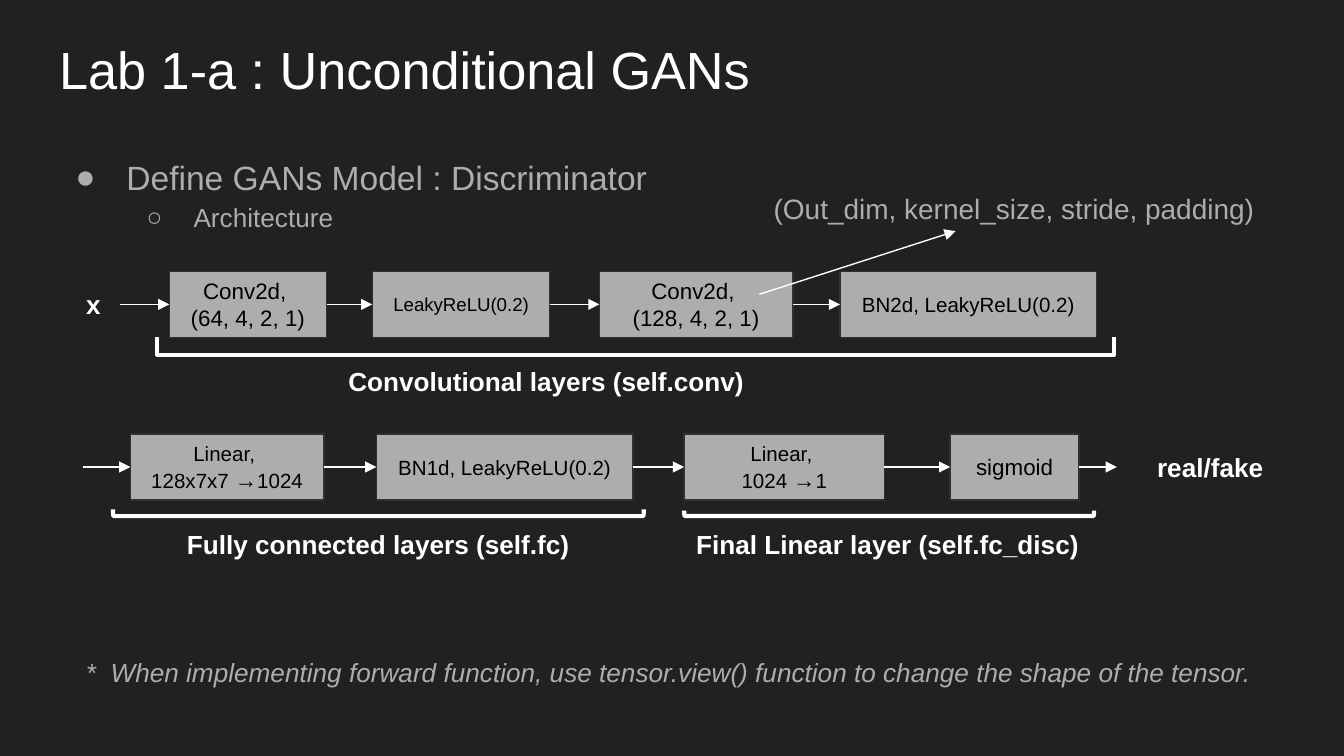
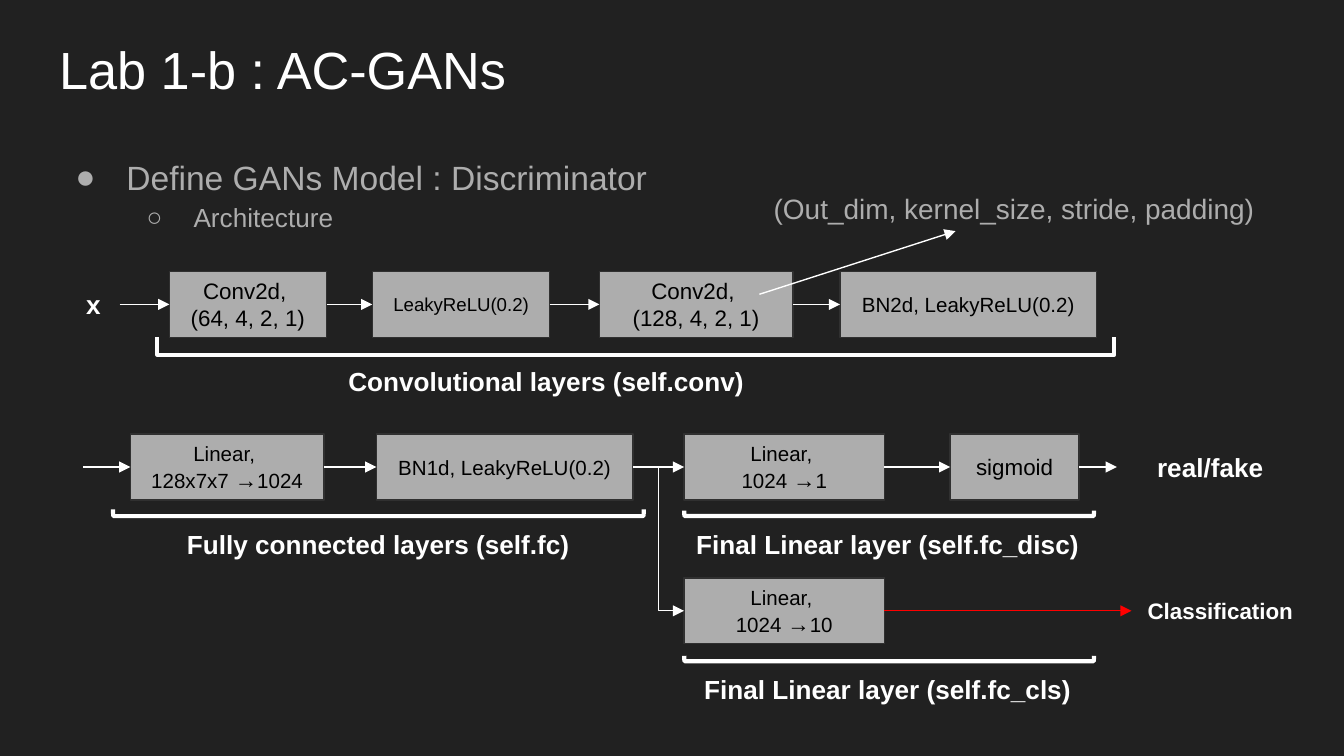
"""Build two slides showing the discriminator architectures of GAN and AC-GAN."""
import pptx
import pptx.util
import pptx.dml.color
import pptx.enum.shapes
import pptx.enum.text
import pptx.oxml
import pptx.oxml.ns

Inches, Pt = pptx.util.Inches, pptx.util.Pt
ALIGN, ANCHOR = pptx.enum.text.PP_ALIGN, pptx.enum.text.MSO_ANCHOR
SHAPE, LINK = pptx.enum.shapes.MSO_SHAPE, pptx.enum.shapes.MSO_CONNECTOR

FONT = "Arial"
BACK, WHITE, GRAY, EDGE, BLACK, RED = "212121", "FFFFFF", "ADADAD", "303030", "000000", "FF0000"
SLIDE_W = 10
SLIDE_H = SLIDE_W * 9 / 16
BOX_H = 0.49
CONV_Y, FC_Y, CLS_Y = 2.02, 3.23, 4.3

OUTLINE = [("Define GANs Model : Discriminator", 18, "●", 0.5, -0.38),
           ("Architecture", 14, "○", 1, -0.35)]
CALLOUT = "(Out_dim, kernel_size, stride, padding)"
NOTE = ("*  When implementing forward function, use tensor.view() function "
        "to change the shape of the tensor.")

# rows: top, start of first arrow, end of last arrow, last arrow colour, boxes
CONV_ROW = (CONV_Y, 0.89, None, WHITE, [
    (1.26, 1.17, 12, "Conv2d, \n(64, 4, 2, 1)"),
    (2.77, 1.32, 10, "LeakyReLU(0.2)"),
    (4.46, 1.44, 12, "Conv2d, \n(128, 4, 2, 1)"),
    (6.25, 1.91, 11, "BN2d, LeakyReLU(0.2)")])
FC_ROW = (FC_Y, 0.62, 8.31, WHITE, [
    (0.97, 1.44, 11, "Linear, \n128x7x7 →1024"),
    (2.8, 1.91, 11, "BN1d, LeakyReLU(0.2)"),
    (5.09, 1.49, 11, "Linear, \n1024 →1"),
    (7.07, 0.96, 12, "sigmoid")])
CLS_ROW = (CLS_Y, None, 8.42, RED, [(5.09, 1.49, 11, "Linear, \n1024 →10")])

LABELS = [(0.41, CONV_Y, 0.57, 14, "x"),
          (8.42, FC_Y, 1.17, 14, "real/fake"),
          (2.17, 2.59, 3.79, 14, "Convolutional layers (self.conv)"),
          (1.17, 3.8, 3.29, 14, "Fully connected layers (self.fc)"),
          (4.71, 3.8, 3.79, 14, "Final Linear layer (self.fc_disc)")]
CLS_LABELS = [(8.42, CLS_Y, 1.32, 12, "Classification"),
              (4.71, 4.88, 3.79, 14, "Final Linear layer (self.fc_cls)")]

BRACKETS = [(1.17, 2.51, 7.12, 0.13, 0), (0.84, 3.79, 3.95, 0.05, 0.083),
            (5.09, 3.8, 3.05, 0.04, 0.083)]
CLS_BRACKETS = [(5.09, 4.88, 3.05, 0.04, 0.083)]

SLIDES = [
    dict(title="Lab 1-a : Unconditional GANs", rows=[CONV_ROW, FC_ROW],
         labels=LABELS, brackets=BRACKETS, note=NOTE, branch=None),
    dict(title="Lab 1-b : AC-GANs", rows=[CONV_ROW, FC_ROW, CLS_ROW],
         labels=LABELS + CLS_LABELS, brackets=BRACKETS + CLS_BRACKETS, note=None,
         branch=(4.71, FC_Y + BOX_H / 2, 5.09, CLS_Y + BOX_H / 2)),
]


def rgb(color):
    return pptx.dml.color.RGBColor.from_string(color)


def place(sp, x, y, w, h):
    sp.left, sp.top, sp.width, sp.height = (Inches(v) for v in (x, y, w, h))


def style(r, size, color, bold=False, italic=False):
    f = r.font
    f.name, f.size, f.bold, f.italic = FONT, Pt(size), bold, italic
    f.color.rgb = rgb(color)


def write(sp, text, size, color, align=ALIGN.CENTER, anchor=ANCHOR.MIDDLE, **look):
    tf = sp.text_frame
    tf.word_wrap, tf.vertical_anchor = True, anchor
    tf.auto_size = pptx.enum.text.MSO_AUTO_SIZE.NONE
    tf.margin_left = tf.margin_right = tf.margin_top = tf.margin_bottom = Inches(0.1)
    tf.text = text
    for p in tf.paragraphs:
        p.alignment = align
        before, arrow, after = p.text.partition("→")
        p.text = before
        for part in filter(None, (arrow, after)):
            p.add_run().text = part
        for r in p.runs:
            style(r, 12 if r.text == "→" else size, color, **look)
    return tf


def add_text(s, x, y, w, *args, **look):
    sp = s.shapes.add_textbox(*(Inches(v) for v in (x, y, w, BOX_H)))
    return write(sp, *args, **look)


def add_paragraph_text(s, x, y, w, *args, **look):
    p = add_text(s, x, y, w, *args, anchor=ANCHOR.TOP, **look).paragraphs[0]
    p.line_spacing, p.space_after = 1.15, Pt(16)


def add_box(s, x, y, w, size, text):
    sp = s.shapes.add_shape(SHAPE.RECTANGLE, *(Inches(v) for v in (x, y, w, BOX_H)))
    sp.shadow.inherit = False
    sp.fill.solid()
    sp.fill.fore_color.rgb = rgb(GRAY)
    sp.line.color.rgb, sp.line.width = rgb(EDGE), Pt(0.75)
    write(sp, text, size, BLACK)


def add_arrow(s, x1, y1, x2, y2, color=WHITE, kind=LINK.STRAIGHT):
    c = s.shapes.add_connector(kind, *(Inches(v) for v in (x1, y1, x2, y2)))
    c.line.color.rgb, c.line.width = rgb(color), Pt(0.75)
    tail = pptx.oxml.ns.qn("a:tailEnd")
    c.line._get_or_add_ln().append(c._element.makeelement(tail, {"type": "triangle"}))
    pr = c._element.spPr
    pr.append(pr.makeelement(pptx.oxml.ns.qn("a:effectLst"), {}))


def add_bracket(s, x, y, w, h, curve):
    sp = s.shapes.add_shape(SHAPE.RIGHT_BRACKET, 0, 0, 0, 0)
    place(sp, x + (w - h) / 2, y + (h - w) / 2, h, w)
    sp.rotation, sp.adjustments[0] = 90, curve
    sp.shadow.inherit = False
    sp.fill.background()
    sp.line.color.rgb, sp.line.width = rgb(WHITE), Pt(2.25)


def add_row(s, y, start, end, end_color, boxes):
    mid = y + BOX_H / 2
    exits = [start] + [x + w for x, w, _, _ in boxes]
    entries = [x for x, _, _, _ in boxes] + [end]
    for x, w, size, text in boxes:
        add_box(s, x, y, w, size, text)
    for i, (x1, x2) in enumerate(zip(exits, entries)):
        if x1 is not None and x2 is not None:
            add_arrow(s, x1, mid, x2, mid, end_color if i == len(boxes) else WHITE)


def add_outline(sp):
    place(sp, 0.34, 1.02, 9.32, 3.74)
    tf = write(sp, "\n".join(item[0] for item in OUTLINE), 18, GRAY,
               ALIGN.LEFT, ANCHOR.TOP)
    for level, (p, (_, size, mark, left, hang)) in enumerate(zip(tf.paragraphs, OUTLINE)):
        p.level, p.line_spacing = level, 1.15
        p.space_before = p.space_after = Pt(0)
        style(p.runs[0], size, GRAY)
        pr = p._p.get_or_add_pPr()
        pr.set("marL", str(Inches(left)))
        pr.set("indent", str(Inches(hang)))
        ns = pptx.oxml.ns.nsdecls("a")
        for xml in (f'<a:buClr {ns}><a:srgbClr val="{GRAY}"/></a:buClr>',
                    f'<a:buFont {ns} typeface="{FONT}"/>',
                    f'<a:buChar {ns} char="{mark}"/>'):
            pr.append(pptx.oxml.parse_xml(xml))


def add_slide(prs, title, rows, labels, brackets, note, branch):
    s = prs.slides.add_slide(prs.slide_layouts[1])
    place(s.shapes.title, 0.34, 0.18, 9.32, 0.63)
    write(s.shapes.title, title, 28, WHITE, ALIGN.LEFT, ANCHOR.TOP)
    add_outline(s.placeholders[1])
    for row in rows:
        add_row(s, *row)
    for bracket in brackets:
        add_bracket(s, *bracket)
    for x, y, w, size, text in labels:
        add_text(s, x, y, w, text, size, WHITE, bold=True)
    add_paragraph_text(s, 5.45, 1.29, 4.19, CALLOUT, 15, GRAY)
    add_arrow(s, 5.65, 2.19, 7.11, 1.72)
    if branch:
        add_arrow(s, *branch, kind=LINK.ELBOW)
    if note:
        add_paragraph_text(s, 0.54, 4.75, 8.92, note, 14, GRAY, ALIGN.JUSTIFY, italic=True)


def main():
    prs = pptx.Presentation()
    prs.slide_width, prs.slide_height = Inches(SLIDE_W), Inches(SLIDE_H)
    fill = prs.slide_master.background.fill
    fill.solid()
    fill.fore_color.rgb = rgb(BACK)
    for content in SLIDES:
        add_slide(prs, **content)
    prs.save("out.pptx")


if __name__ == "__main__":
    main()
